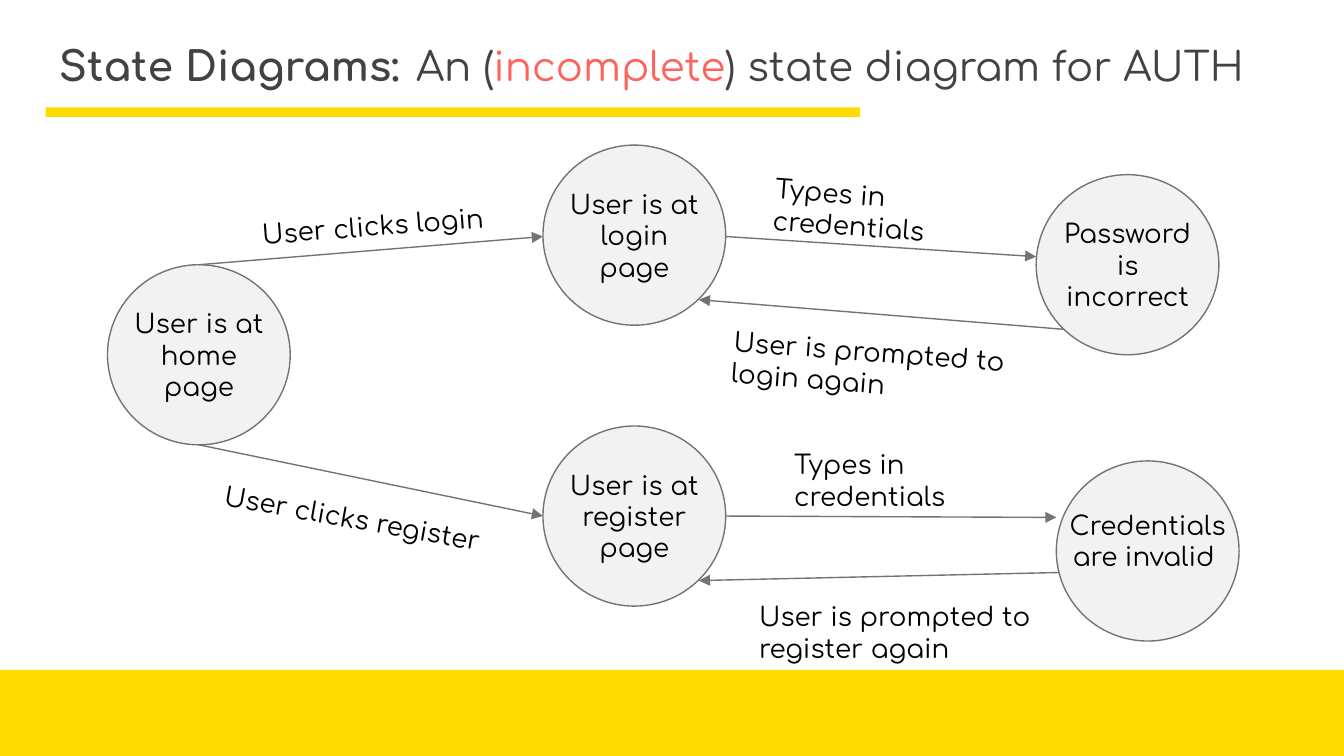
"""Build a slide with a state diagram of a login and registration flow."""
from dataclasses import dataclass

from lxml import etree
from pptx import Presentation
from pptx import util as u
from pptx.dml.color import RGBColor
from pptx.enum import shapes, text
from pptx.oxml import ns


@dataclass(frozen=True)
class Theme:
    font: str = "Comfortaa"
    yellow: RGBColor = RGBColor(0xFF, 0xDC, 0x00)
    title: RGBColor = RGBColor(0x42, 0x42, 0x42)
    accent: RGBColor = RGBColor(0xFF, 0x63, 0x5D)
    state: RGBColor = RGBColor(0xF2, 0xF2, 0xF2)
    outline: RGBColor = RGBColor(0x73, 0x73, 0x73)
    label: RGBColor = RGBColor(0, 0, 0)
    line_width: float = 0.75
    label_size: float = 14
    title_bold_size: float = 21.9
    title_gap_size: float = 30
    title_size: float = 21.5


theme = Theme()
slide_width = 10
slide_height = slide_width * 9 / 16
prs = Presentation()
prs.slide_width, prs.slide_height = u.Inches(slide_width), u.Inches(slide_height)
slide = prs.slides.add_slide(prs.slide_layouts[6])


def add_plain(preset, box, fill):
    plain = slide.shapes.add_shape(preset, *map(u.Inches, box))
    plain.shadow.inherit = False
    plain.fill.solid()
    plain.fill.fore_color.rgb = fill
    plain.line.fill.background()
    return plain


def add_text(box, pieces, align=text.PP_ALIGN.LEFT, anchor=text.MSO_ANCHOR.TOP):
    holder = slide.shapes.add_textbox(*map(u.Inches, box))
    frame = holder.text_frame
    frame.word_wrap = True
    frame.vertical_anchor = anchor
    frame.margin_left = frame.margin_right = u.Inches(0.1)
    frame.margin_top = frame.margin_bottom = u.Inches(0.1)
    paragraph = frame.paragraphs[0]
    paragraph.alignment = align
    for wording, size, color, bold in pieces:
        run = paragraph.add_run()
        run.text = wording
        run.font.name = theme.font
        run.font.size = u.Pt(size)
        run.font.color.rgb = color
        run.font.bold = bold
    return holder


band_height = 0.64
add_plain(shapes.MSO_SHAPE.RECTANGLE,
          (0, slide_height - band_height, slide_width, band_height), theme.yellow)
title_pieces = [
    ("State Diagrams:", theme.title_bold_size, theme.title, True),
    (" ", theme.title_gap_size, theme.title, True),
    ("An (", theme.title_size, theme.title, False),
    ("incomplete", theme.title_size, theme.accent, False),
    (") state diagram for AUTH", theme.title_size, theme.title, False),
]
add_text((0.34, -0.01, 9.32, 0.8), title_pieces, anchor=text.MSO_ANCHOR.BOTTOM)
add_plain(shapes.MSO_SHAPE.RECTANGLE, (0.34, 0.8, 6.06, 0.07), theme.yellow)

state_width, state_height = 1.36, 1.34
states = [
    ("User is at home page", 0.8, 1.97, 1.21, 0.22),
    ("User is at login page", 4.04, 1.08, 1.21, 0.22),
    ("User is at register page", 4.04, 3.17, 1.21, 0.22),
    ("Password is incorrect", 7.71, 1.3, 1.21, 0.22),
    ("Credentials are invalid ", 7.86, 3.43, 1.36, 0.26),
]
for wording, left, top, text_width, text_drop in states:
    circle = add_plain(shapes.MSO_SHAPE.OVAL,
                       (left, top, state_width, state_height), theme.state)
    circle.line.color.rgb = theme.outline
    circle.line.width = u.Pt(theme.line_width)
    text_left = left + (state_width - text_width) / 2
    add_text((text_left, top + text_drop, text_width, 0.9),
             [(wording, theme.label_size, theme.label, False)],
             align=text.PP_ALIGN.CENTER)

transitions = [
    ("User clicks login", (1.48, 1.97, 4.04, 1.76), (1.85, 1.46, 1.94, 0.43), -4.4),
    ("User clicks register", (1.48, 3.31, 4.04, 3.84), (1.56, 3.66, 2.36, 0.43), 10.1),
    ("Types in credentials", (5.4, 1.76, 7.71, 1.91), (5.66, 1.25, 1.94, 0.67), 4.3),
    ("User is prompted to login again", (7.91, 2.45, 5.2, 2.23), (5.35, 2.41, 2.56, 0.67), 4.3),
    ("Types in credentials", (5.4, 3.84, 7.86, 3.85), (5.81, 3.24, 1.94, 0.67), 0),
    ("User is prompted to register again", (7.88, 4.26, 5.2, 4.32), (5.55, 4.37, 2.56, 0.67), 0),
]
for wording, ends, label_box, angle in transitions:
    arrow = slide.shapes.add_connector(shapes.MSO_CONNECTOR.STRAIGHT, *map(u.Inches, ends))
    arrow.line.color.rgb = theme.outline
    arrow.line.width = u.Pt(theme.line_width)
    outline = arrow._element.spPr.find(ns.qn("a:ln"))
    etree.SubElement(outline, ns.qn("a:tailEnd"), type="triangle")
    etree.SubElement(arrow._element.spPr, ns.qn("a:effectLst"))
    label = add_text(label_box, [(wording, theme.label_size, theme.label, False)])
    label.rotation = angle

prs.save("out.pptx")
